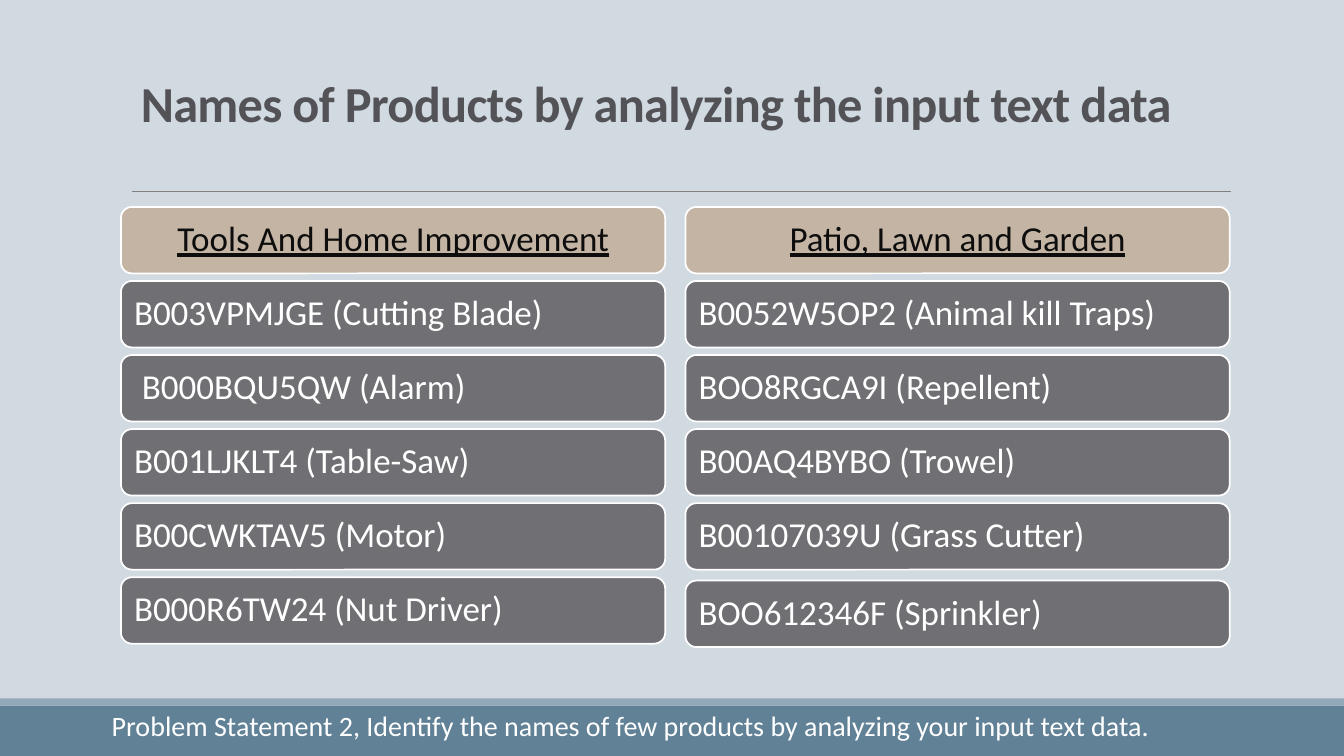
from dataclasses import dataclass

from lxml import etree
from pptx import Presentation
from pptx.dml.color import RGBColor
from pptx.enum.shapes import MSO_CONNECTOR, MSO_SHAPE
from pptx.enum.text import MSO_ANCHOR, MSO_AUTO_SIZE, PP_ALIGN
from pptx.oxml.ns import qn
from pptx.util import Pt

RECTANGLE = MSO_SHAPE.RECTANGLE
ROUNDED = MSO_SHAPE.ROUNDED_RECTANGLE
STRAIGHT = MSO_CONNECTOR.STRAIGHT
MIDDLE, BOTTOM = MSO_ANCHOR.MIDDLE, MSO_ANCHOR.BOTTOM
LEFT, CENTER = PP_ALIGN.LEFT, PP_ALIGN.CENTER
NO_FIT = MSO_AUTO_SIZE.NONE

TITLE = "Names of Products by analyzing the input text data"
FOOTER = "Problem Statement 2, Identify the names of few products by analyzing your input text data."
CATEGORIES = [
    ("Tools And Home Improvement", [
        "B003VPMJGE (Cutting Blade)",
        " B000BQU5QW (Alarm)",
        "B001LJKLT4 (Table-Saw)",
        "B00CWKTAV5 (Motor)",
        "B000R6TW24 (Nut Driver)",
    ]),
    ("Patio, Lawn and Garden", [
        "B0052W5OP2 (Animal kill Traps)",
        "BOO8RGCA9I (Repellent)",
        "B00AQ4BYBO (Trowel)",
        "B00107039U (Grass Cutter)",
        "BOO612346F (Sprinkler)",
    ]),
]


@dataclass(frozen=True)
class Theme:
    font: str = "Calibri"
    background: str = "D1D9E1"
    footer_band: str = "618197"
    footer_edge: str = "92A9B9"
    rule: str = "808080"
    title: str = "535357"
    heading_fill: str = "C4B4A3"
    heading_text: str = "0D0D0D"
    product_fill: str = "6F6F74"
    light: str = "FFFFFF"
    title_size: int = 36
    card_size: int = 25
    footer_size: int = 20


THEME = Theme()
SLIDE_W, SLIDE_H = 960, 540
CARD_LEFT, CARD_TOP, CARD_W, CARD_H = 86.4, 147.8, 388.8, 47.5
COLUMN_PITCH, ROW_PITCH = 403.2, 52.9
SPRINKLER_DROP = 2.4


def rgb(value):
    return RGBColor.from_string(value)


def write(frame, text, size, color, align=LEFT):
    frame.text = text
    paragraph = frame.paragraphs[0]
    paragraph.alignment = align
    paragraph.font.name = THEME.font
    paragraph.font.size = Pt(size)
    paragraph.font.color.rgb = rgb(color)
    return paragraph


def add_block(slide, kind, box, fill):
    block = slide.shapes.add_shape(kind, *map(Pt, box))
    block.shadow.inherit = False
    block.fill.solid()
    block.fill.fore_color.rgb = rgb(fill)
    block.line.fill.background()
    return block


def add_card(slide, left, top, text, fill, color, align):
    card = add_block(slide, ROUNDED, (left, top, CARD_W, CARD_H), fill)
    card.line.color.rgb = rgb(THEME.light)
    card.line.width = Pt(1.25)
    frame = card.text_frame
    frame.word_wrap = True
    frame.vertical_anchor = MIDDLE
    paragraph = write(frame, text, THEME.card_size, color, align)
    paragraph.line_spacing = 0.9
    return paragraph


def add_title(slide):
    title = slide.shapes.title
    title.left, title.top, title.width, title.height = map(Pt, (72.7, 15.1, 792, 83.5))
    frame = title.text_frame
    frame.word_wrap = True
    frame.auto_size = NO_FIT
    frame.vertical_anchor = BOTTOM
    paragraph = write(frame, TITLE, THEME.title_size, THEME.title, CENTER)
    paragraph.line_spacing = 0.85
    paragraph.font.bold = True
    paragraph.runs[0].font._element.set("spc", "-50")


def add_rule(slide):
    rule = slide.shapes.add_connector(STRAIGHT, *map(Pt, (94.3, 136.8, 879.1, 136.8)))
    rule.line.color.rgb = rgb(THEME.rule)
    rule.line.width = Pt(0.5)
    etree.SubElement(rule._element.spPr, qn("a:effectLst"))


def add_categories(slide):
    for column, (heading, products) in enumerate(CATEGORIES):
        left = CARD_LEFT + column * COLUMN_PITCH
        title = add_card(slide, left, CARD_TOP, heading,
                         THEME.heading_fill, THEME.heading_text, CENTER)
        title.font.underline = True
        for row, product in enumerate(products, 1):
            top = CARD_TOP + row * ROW_PITCH
            if "Sprinkler" in product:
                top += SPRINKLER_DROP
            add_card(slide, left, top, product, THEME.product_fill, THEME.light, LEFT)


def add_footer(slide):
    footer = slide.shapes.add_textbox(*map(Pt, (72.7, 502.6, 762.5, 31.5)))
    footer.text_frame.word_wrap = False
    write(footer.text_frame, FOOTER, THEME.footer_size, THEME.light)


def main():
    deck = Presentation()
    deck.slide_width, deck.slide_height = Pt(SLIDE_W), Pt(SLIDE_H)
    slide = deck.slides.add_slide(deck.slide_layouts[5])
    slide.background.fill.solid()
    slide.background.fill.fore_color.rgb = rgb(THEME.background)
    add_block(slide, RECTANGLE, (0, 504, SLIDE_W, 36), THEME.footer_band)
    add_block(slide, RECTANGLE, (0, 498.8, SLIDE_W, 5.2), THEME.footer_edge)
    add_rule(slide)
    add_title(slide)
    add_categories(slide)
    add_footer(slide)
    deck.save("out.pptx")


if __name__ == "__main__":
    main()
